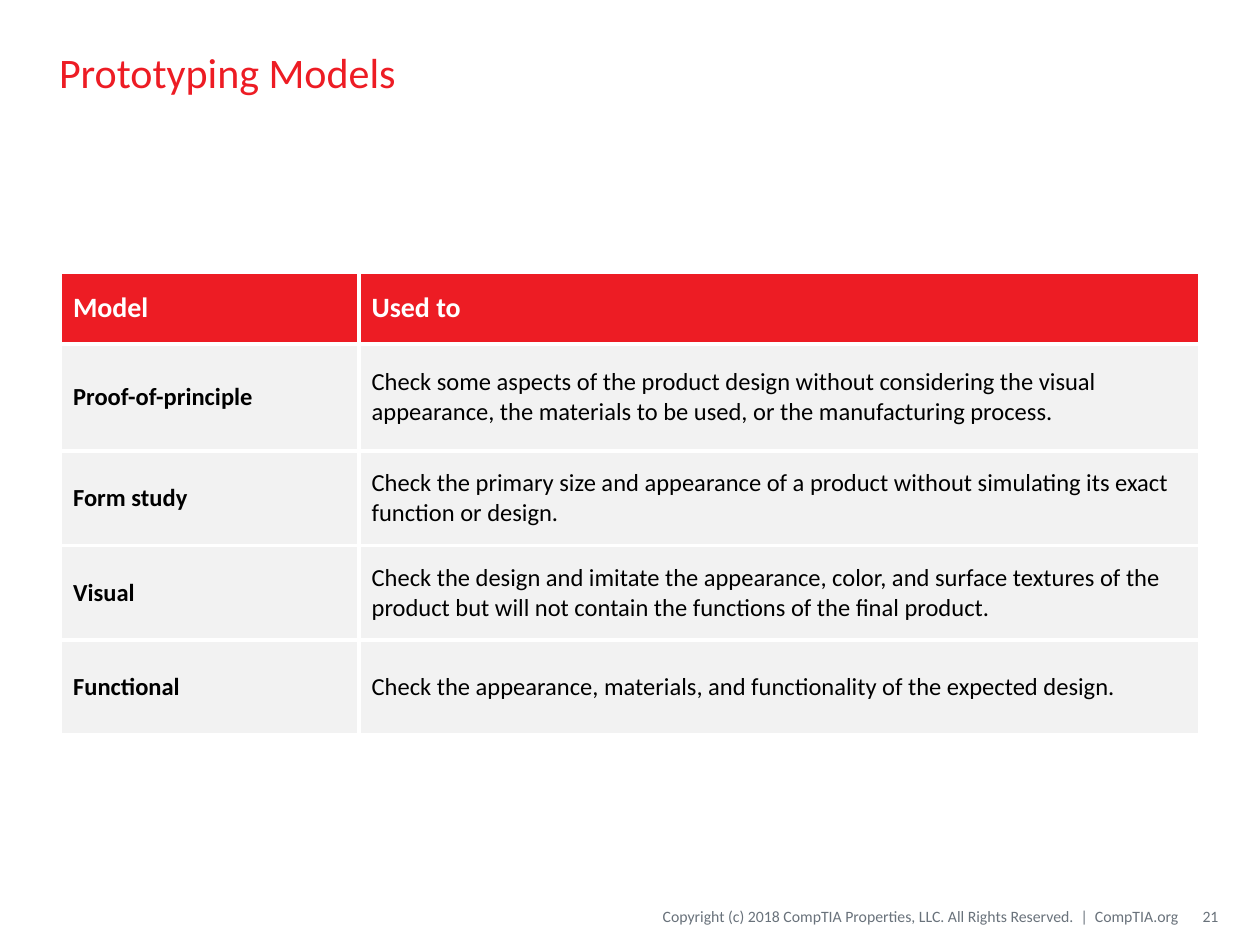
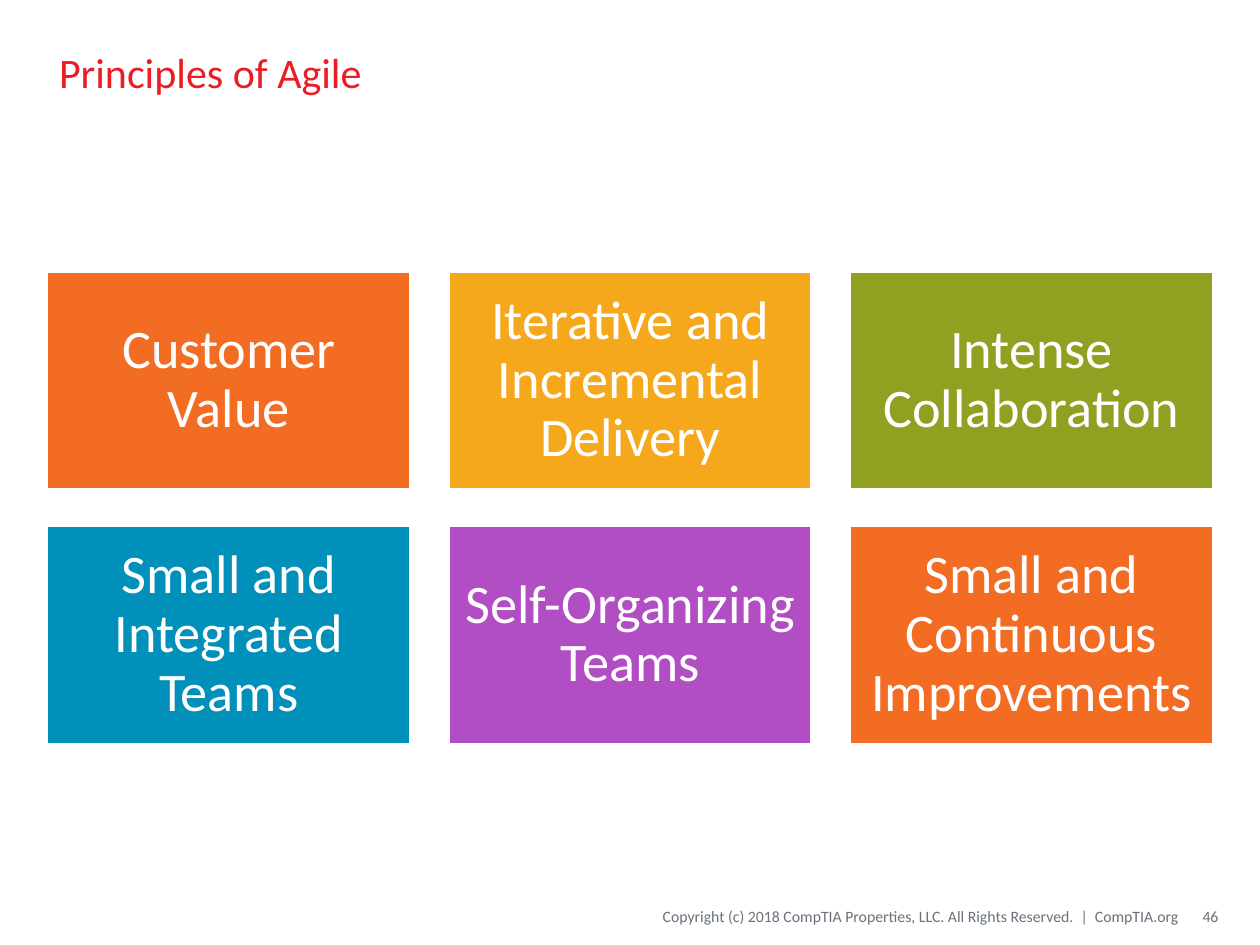
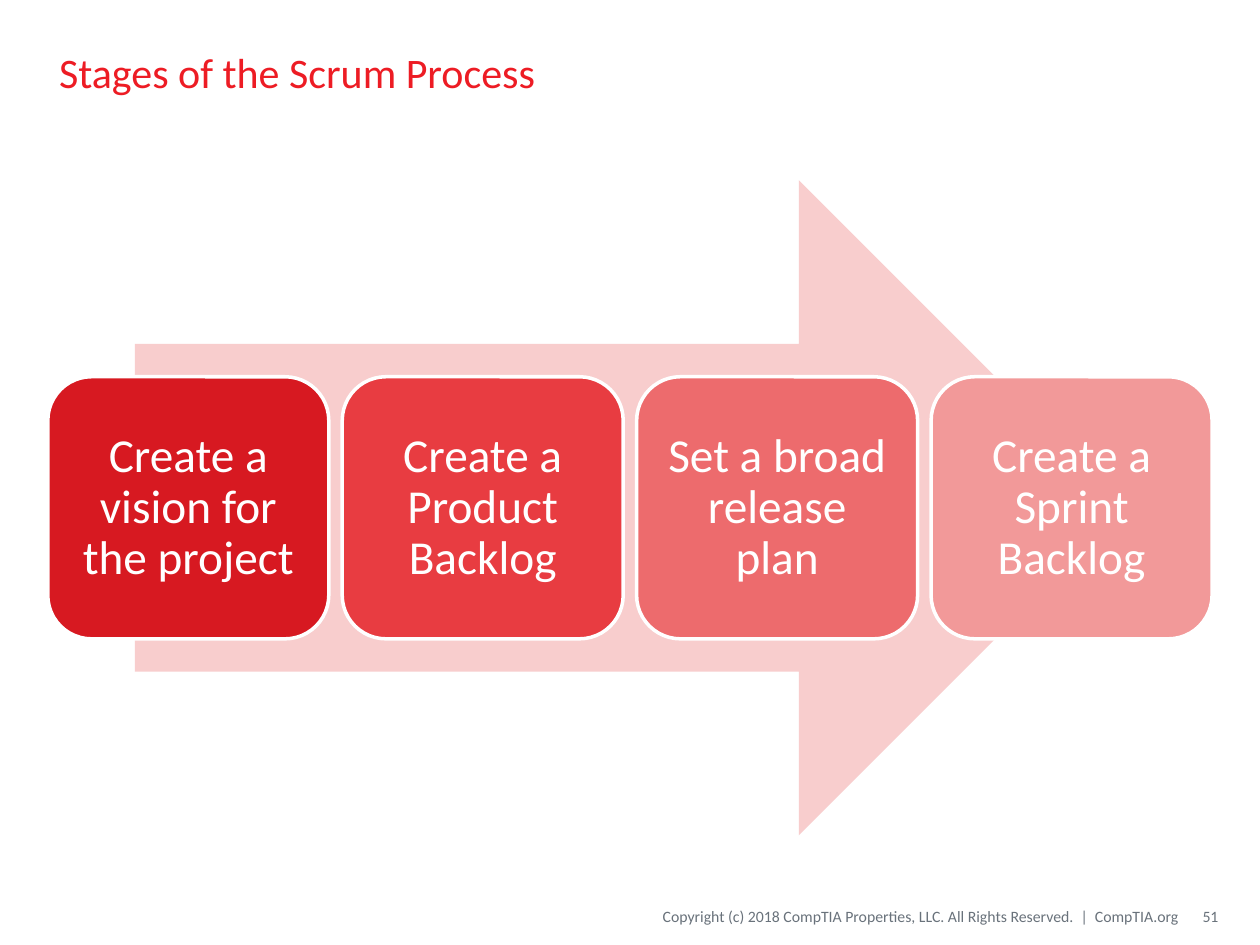
from dataclasses import dataclass

from lxml.etree import SubElement
from pptx import Presentation
from pptx.dml.color import RGBColor
from pptx.enum.shapes import MSO_SHAPE
from pptx.enum.text import MSO_ANCHOR, PP_ALIGN
from pptx.oxml.ns import qn
from pptx.util import Inches, Pt

# Content
FOOTER = "Copyright (c) 2018 CompTIA Properties, LLC. All Rights Reserved.  |  CompTIA.org"

MODELS = [
    ("Model", "Used to"),
    ("Proof-of-principle",
     "Check some aspects of the product design without considering the visual "
     "appearance, the materials to be used, or the manufacturing process."),
    ("Form study",
     "Check the primary size and appearance of a product without simulating its "
     "exact function or design."),
    ("Visual",
     "Check the design and imitate the appearance, color, and surface textures of "
     "the product but will not contain the functions of the final product."),
    ("Functional",
     "Check the appearance, materials, and functionality of the expected design."),
]
MODEL_COLUMNS = (2.37, 6.67)
MODEL_ROWS = (0.57, 0.85, 0.75, 0.75, 0.75)

PRINCIPLES = [
    ("Customer Value", "F26C23"),
    ("Iterative and Incremental Delivery", "F5A81C"),
    ("Intense Collaboration", "92A022"),
    ("Small and Integrated Teams", "0090B9"),
    ("Self-Organizing Teams", "B24EC3"),
    ("Small and Continuous Improvements", "F26C23"),
]

STAGES = [
    ("Create a vision for the project", "D71921"),
    ("Create a Product Backlog", "E83C41"),
    ("Set a broad release plan", "ED6B6D"),
    ("Create a Sprint Backlog", "F29999"),
]


@dataclass(frozen=True)
class Theme:
    font: str = "Calibri"
    red: str = "ED1C24"
    pale_red: str = "F8CDCD"
    gray: str = "69727B"
    light: str = "F2F2F2"
    white: str = "FFFFFF"
    black: str = "000000"
    title_size: float = 24
    footer_size: float = 9
    header_size: float = 16
    cell_size: float = 14
    tile_size: float = 31
    stage_size: float = 27
    outline: float = 2
    border: float = 2.25


THEME = Theme()


# Shared helpers
def rgb(color):
    return RGBColor.from_string(color)


def write(frame, text, size, color, align=PP_ALIGN.LEFT, bold=False):
    para = frame.paragraphs[0]
    para.text = text
    para.alignment = align
    font = para.font
    font.name, font.size, font.bold = THEME.font, Pt(size), bold
    font.color.rgb = rgb(color)
    return para


def set_margins(frame, left, top, right, bottom):
    frame.margin_left, frame.margin_top = Inches(left), Inches(top)
    frame.margin_right, frame.margin_bottom = Inches(right), Inches(bottom)


def add_text(page, bounds, text, size, color, margins, align=PP_ALIGN.LEFT):
    frame = page.shapes.add_textbox(*map(Inches, bounds)).text_frame
    frame.word_wrap = True
    frame.vertical_anchor = MSO_ANCHOR.MIDDLE
    set_margins(frame, *margins)
    write(frame, text, size, color, align)


def add_block(page, kind, bounds, fill):
    block = page.shapes.add_shape(kind, *map(Inches, bounds))
    block.shadow.inherit = False
    block.fill.solid()
    block.fill.fore_color.rgb = rgb(fill)
    block.line.fill.background()
    return block


def add_label_block(page, kind, bounds, fill, text, size, margin):
    block = add_block(page, kind, bounds, fill)
    block.line.color.rgb = rgb(THEME.white)
    block.line.width = Pt(THEME.outline)
    frame = block.text_frame
    frame.word_wrap = True
    frame.vertical_anchor = MSO_ANCHOR.MIDDLE
    set_margins(frame, *[margin] * 4)
    write(frame, text, size, THEME.white, PP_ALIGN.CENTER).line_spacing = 0.9


def spread(start, end, width, count):
    """Left edges of equal parts with equal gaps from start to end."""
    step = (end - start - width) / (count - 1)
    return [start + index * step for index in range(count)]


def add_page(deck, title, number):
    page = deck.slides.add_slide(deck.slide_layouts[6])
    add_text(page, (3.88, 7.12, 5.47, 0.3), FOOTER, THEME.footer_size, THEME.gray,
             (0, 0.05, 0, 0.05), PP_ALIGN.RIGHT)
    add_text(page, (0.37, 0.11, 9.25, 0.92), title, THEME.title_size, THEME.red,
             (0.1, 0.05, 0.1, 0.05))
    add_text(page, (9.38, 7.12, 0.29, 0.3), str(number), THEME.footer_size,
             THEME.gray, (0.1, 0.05, 0, 0.05), PP_ALIGN.RIGHT)
    return page


def add_borders(cell):
    properties = cell._tc.get_or_add_tcPr()
    for side in ("lnL", "lnR", "lnT", "lnB"):
        line = SubElement(properties, qn(f"a:{side}"), w=str(Pt(THEME.border)))
        fill = SubElement(line, qn("a:solidFill"))
        SubElement(fill, qn("a:srgbClr"), val=THEME.white)


# Slides
def add_models(deck):
    page = add_page(deck, "Prototyping Models", 21)
    table = page.shapes.add_table(
        len(MODELS), len(MODEL_COLUMNS), Inches(0.48), Inches(2.16),
        Inches(sum(MODEL_COLUMNS)), Inches(sum(MODEL_ROWS))).table
    table.horz_banding = False
    for column, width in zip(table.columns, MODEL_COLUMNS):
        column.width = Inches(width)
    for row, height in zip(table.rows, MODEL_ROWS):
        row.height = Inches(height)

    for row_index, texts in enumerate(MODELS):
        header = row_index == 0
        size = THEME.header_size if header else THEME.cell_size
        color = THEME.white if header else THEME.black
        for column_index, text in enumerate(texts):
            cell = table.cell(row_index, column_index)
            add_borders(cell)
            cell.fill.solid()
            cell.fill.fore_color.rgb = rgb(THEME.red if header else THEME.light)
            cell.vertical_anchor = MSO_ANCHOR.MIDDLE
            write(cell.text_frame, text, size, color,
                  bold=header or column_index == 0)


def add_principles(deck):
    page = add_page(deck, "Principles of Agile", 46)
    width, height = 2.89, 1.74
    places = [(left, top) for top in (2.15, 4.17)
              for left in spread(0.37, 9.63, width, 3)]
    for (text, fill), (left, top) in zip(PRINCIPLES, places):
        add_label_block(page, MSO_SHAPE.RECTANGLE, (left, top, width, height),
                        fill, text, THEME.tile_size, 0.13)


def add_stages(deck):
    page = add_page(deck, "Stages of the Scrum Process", 51)
    add_block(page, MSO_SHAPE.RIGHT_ARROW, (1.07, 1.43, 7.87, 5.2), THEME.pale_red)
    width, height = 2.23, 2.08
    for (text, fill), left in zip(STAGES, spread(0.38, 9.62, width, len(STAGES))):
        add_label_block(page, MSO_SHAPE.ROUNDED_RECTANGLE, (left, 2.99, width, height),
                        fill, text, THEME.stage_size, 0.11)


def main():
    deck = Presentation()
    deck.slide_width, deck.slide_height = Inches(10), Inches(7.5)
    add_models(deck)
    add_principles(deck)
    add_stages(deck)
    deck.save("out.pptx")


if __name__ == "__main__":
    main()
